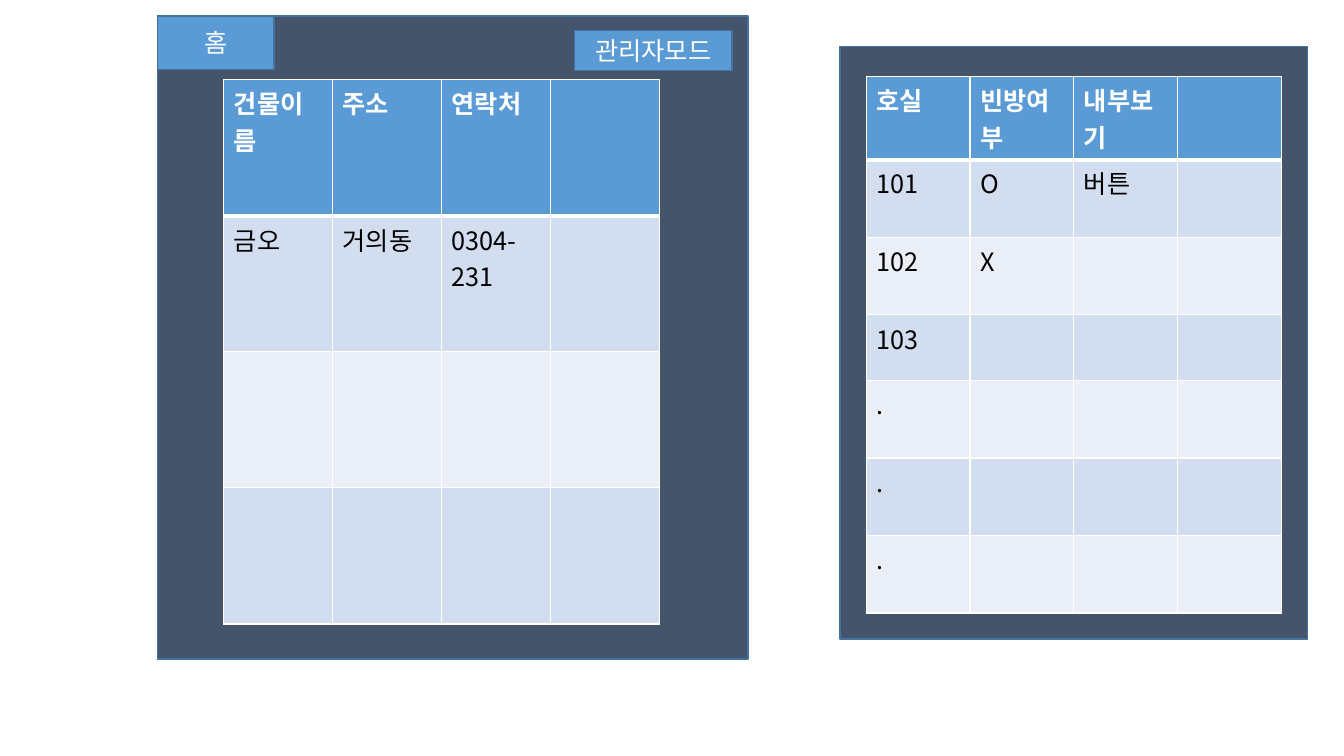
from lxml import etree
from pptx import Presentation
from pptx.dml.color import RGBColor
from pptx.enum.shapes import MSO_SHAPE
from pptx.enum.text import MSO_ANCHOR, PP_ALIGN
from pptx.oxml.ns import qn
from pptx.util import Inches, Pt

RECTANGLE = MSO_SHAPE.RECTANGLE
MIDDLE = MSO_ANCHOR.MIDDLE
CENTER = PP_ALIGN.CENTER

WHITE = RGBColor(0xFF, 0xFF, 0xFF)
BLACK = RGBColor(0x00, 0x00, 0x00)
SLATE = RGBColor(0x44, 0x54, 0x6A)
BLUE = RGBColor(0x5B, 0x9B, 0xD5)
OUTLINE = RGBColor(0x43, 0x73, 0x9E)
BANDS = (RGBColor(0xD2, 0xDE, 0xEF), RGBColor(0xEA, 0xEF, 0xF7))


class Wireframe:
    """Holds the style and the current slide."""

    font = "Noto Sans CJK KR"
    size = Pt(18)
    thin, thick = Pt(1), Pt(3)

    def __init__(self, slide):
        self.slide = slide

    def text(self, paragraph, words, color, bold=False):
        run = paragraph.add_run()
        run.text = words
        run.font.name = self.font
        run.font.size = self.size
        run.font.bold = bold
        run.font.color.rgb = color
        # East Asian text takes its own font entry
        east_asian = etree.SubElement(run.font._element, qn("a:ea"))
        east_asian.set("typeface", self.font)

    def box(self, left, top, width, height, fill):
        box = self.slide.shapes.add_shape(
            RECTANGLE, Inches(left), Inches(top), Inches(width), Inches(height))
        box.shadow.inherit = False
        box.fill.solid()
        box.fill.fore_color.rgb = fill
        box.line.color.rgb = OUTLINE
        box.line.width = self.thin
        return box

    def button(self, left, top, width, height, label):
        frame = self.box(left, top, width, height, BLUE).text_frame
        frame.word_wrap = True
        frame.vertical_anchor = MIDDLE
        frame.paragraphs[0].alignment = CENTER
        self.text(frame.paragraphs[0], label, WHITE)

    def borders(self, cell, **widths):
        properties = cell._tc.get_or_add_tcPr()
        for side in "LRTB":
            line = etree.SubElement(properties, qn(f"a:ln{side}"))
            line.set("w", str(widths.get(side, self.thin)))
            fill = etree.SubElement(line, qn("a:solidFill"))
            etree.SubElement(fill, qn("a:srgbClr")).set("val", str(WHITE))

    def table(self, left, top, column_width, row_heights, rows, columns=4):
        table = self.slide.shapes.add_table(
            len(row_heights), columns, Inches(left), Inches(top),
            Inches(column_width * columns), Inches(sum(row_heights))).table
        for column in table.columns:
            column.width = Inches(column_width)
        for r, height in enumerate(row_heights):
            table.rows[r].height = Inches(height)
            header = r == 0
            # A thick rule parts the header from the body
            rule = {0: {"B": self.thick}, 1: {"T": self.thick}}.get(r, {})
            for c in range(columns):
                cell = table.cell(r, c)
                self.borders(cell, **rule)
                cell.fill.solid()
                cell.fill.fore_color.rgb = BLUE if header else BANDS[(r - 1) % 2]
                if r < len(rows) and c < len(rows[r]):
                    self.text(cell.text_frame.paragraphs[0], rows[r][c],
                              WHITE if header else BLACK, bold=header)


presentation = Presentation()
presentation.slide_width = Inches(13.33)
presentation.slide_height = Inches(7.5)
screens = Wireframe(presentation.slides.add_slide(presentation.slide_layouts[6]))

# Building list screen
screens.box(1.56, 0.16, 5.86, 6.38, SLATE)
buildings = [("건물이름", "주소", "연락처"), ("금오", "거의동", "0304-231")]
screens.table(2.22, 0.79, 1.08, [1.35] * 4, buildings)
screens.button(5.7, 0.3, 1.56, 0.4, "관리자모드")
screens.button(1.56, 0.16, 1.16, 0.53, "홈")

# Room list screen
screens.box(8.33, 0.46, 4.64, 5.88, SLATE)
rooms = [("호실", "빈방여부", "내부보기"), ("101", "O", "버튼"),
         ("102", "X"), ("103",)] + [(".",)] * 3
screens.table(8.59, 0.76, 1.03, [0.77] * 3 + [0.65] + [0.77] * 3, rooms)

presentation.save("out.pptx")
